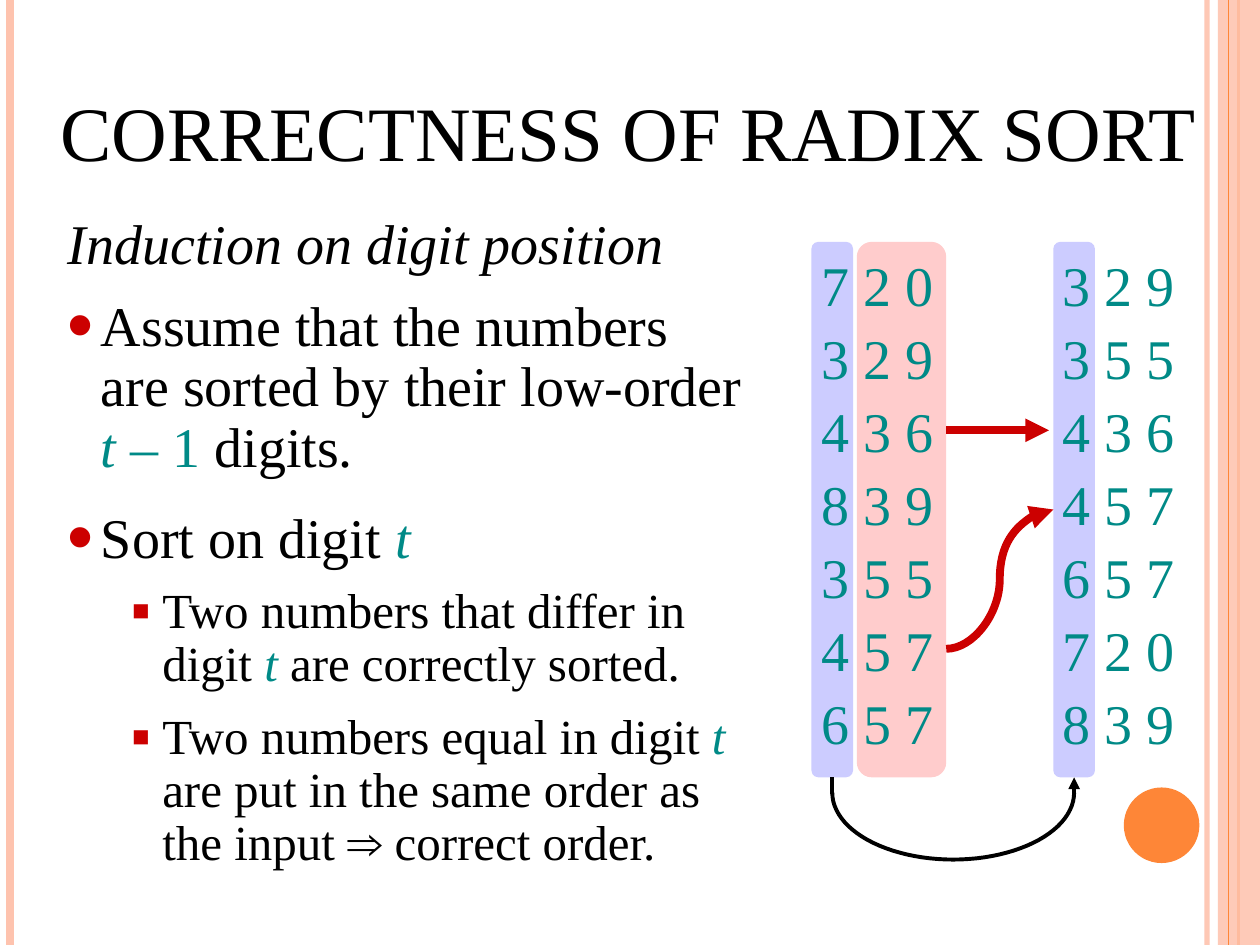
import math

import pptx
import pptx.dml.color
import pptx.enum.shapes
import pptx.enum.text
import pptx.oxml
import pptx.oxml.ns
import pptx.util
from lxml import etree

Pt = pptx.util.Pt
SHAPES = pptx.enum.shapes.MSO_SHAPE
CONNECTORS = pptx.enum.shapes.MSO_CONNECTOR
ANCHORS = pptx.enum.text.MSO_ANCHOR
ALIGNMENTS = pptx.enum.text.PP_ALIGN
FIT = pptx.enum.text.MSO_AUTO_SIZE


class Theme:
    serif, sans = "Times New Roman", "Arial"
    black, teal, red = "000000", "008A87", "CC0000"
    orange, peach = "FE8637", "FEC3AE"
    lavender, pink = "CCCCFF", "FFCCCC"
    title_size, body_size, detail_size = 44, 32, 28
    # Run styles: colour, italic, font
    runs = {
        "plain": (black, False, serif),
        "emphasis": (black, True, serif),
        "variable": (teal, True, serif),
        "number": (teal, False, serif),
        "symbol": (black, False, sans),
    }
    # Paragraph styles: type size, level, format values, bullet, hanging indent
    paragraphs = {
        "title": (title_size, 0, {}, None, None),
        "digits": (body_size, 0, {"alignment": ALIGNMENTS.CENTER}, None, None),
        "lead": (body_size, 0, {"line_spacing": 0.9, "space_before": Pt(11.9)},
                 None, (18.9, 18.9)),
        "point": (body_size, 0, {"line_spacing": 0.9, "space_before": Pt(11.9)},
                  ("•", 133), (18.9, 18.9)),
        "detail": (detail_size, 1, {"line_spacing": 0.9, "space_before": Pt(5.2)},
                   ("▪", 116), (54, 18)),
    }


def color(value):
    return pptx.dml.color.RGBColor.from_string(value)


def set_values(target, values):
    for name, value in values.items():
        setattr(target, name, value)


def add_element(parent, tag, **attributes):
    element = etree.SubElement(parent, pptx.oxml.ns.qn(tag))
    for name, value in attributes.items():
        element.set(name, str(value))
    return element


class SlideBuilder:
    def __init__(self, slide, theme):
        self.slide, self.theme = slide, theme

    def set_opacity(self, properties, percent):
        if percent < 100:
            solid_color = properties.find(".//" + pptx.oxml.ns.qn("a:srgbClr"))
            add_element(solid_color, "a:alpha", val=percent * 1000)

    def block(self, kind, left, top, width, height, fill, opacity=100, corner=None):
        shape = self.slide.shapes.add_shape(
            kind, Pt(left), Pt(top), Pt(width), Pt(height))
        shape.shadow.inherit = False
        shape.fill.solid()
        shape.fill.fore_color.rgb = color(fill)
        shape.line.fill.background()
        if corner is not None:
            shape.adjustments[0] = corner
        self.set_opacity(shape.element.spPr, opacity)
        return shape

    def line(self, start, end, stroke, width, kind=CONNECTORS.STRAIGHT,
             arrow=False, opacity=100, begin=None, finish=None):
        connector = self.slide.shapes.add_connector(
            kind, *(Pt(value) for value in (*start, *end)))
        connector.line.color.rgb = color(stroke)
        connector.line.width = Pt(width)
        properties = connector.element.spPr
        self.set_opacity(properties, opacity)
        if arrow:
            add_element(properties.find(pptx.oxml.ns.qn("a:ln")),
                        "a:tailEnd", type="triangle")
        add_element(properties, "a:effectLst")
        if begin:
            connector.begin_connect(*begin)
        if finish:
            connector.end_connect(*finish)

    def half_ellipse(self, left, right, top, depth, stroke, width, steps=48):
        center, radius = (left + right) / 2, (right - left) / 2
        points = [(Pt(center - radius * math.cos(math.pi * step / steps)),
                   Pt(top + depth * math.sin(math.pi * step / steps)))
                  for step in range(steps + 1)]
        builder = self.slide.shapes.build_freeform(*points[0])
        builder.add_line_segments(points[1:], close=False)
        shape = builder.convert_to_shape()
        shape.shadow.inherit = False
        shape.fill.background()
        shape.line.color.rgb = color(stroke)
        shape.line.width = Pt(width)

    def text(self, left, top, width, height, paragraphs, **frame_values):
        box = self.slide.shapes.add_textbox(Pt(left), Pt(top), Pt(width), Pt(height))
        frame = box.text_frame
        set_values(frame, {"word_wrap": True, "auto_size": FIT.SHAPE_TO_FIT_TEXT,
                           **frame_values})
        for index, (style, runs) in enumerate(paragraphs):
            paragraph = frame.add_paragraph() if index else frame.paragraphs[0]
            self.fill_paragraph(paragraph, style, runs)

    def fill_paragraph(self, paragraph, style, runs):
        size, level, values, bullet, indent = self.theme.paragraphs[style]
        set_values(paragraph, {"level": level, **values})
        properties = paragraph._p.get_or_add_pPr()
        if indent:
            margin, hanging = indent
            properties.set("marL", str(Pt(margin)))
            properties.set("indent", str(-Pt(hanging)))
        if bullet:
            character, percent = bullet
            bullet_color = add_element(properties, "a:buClr")
            add_element(bullet_color, "a:srgbClr", val=self.theme.red)
            add_element(properties, "a:buSzPct", val=percent * 1000)
            add_element(properties, "a:buFont", typeface=self.theme.sans)
            add_element(properties, "a:buChar", char=character)
        for words, run_style in runs:
            run_color, italic, font_name = self.theme.runs[run_style]
            run = paragraph.add_run()
            run.text = words
            set_values(run.font, {"size": Pt(size), "name": font_name, "italic": italic})
            run.font.color.rgb = color(run_color)


def main():
    presentation = pptx.Presentation()
    set_values(presentation, {"slide_width": Pt(720), "slide_height": Pt(540)})
    theme = Theme()
    page = SlideBuilder(presentation.slides.add_slide(presentation.slide_layouts[6]), theme)

    # Page frame
    for x, stroke, width, opacity in ((689.8, theme.peach, 3, 91),
                                      (5.8, theme.peach, 4.5, 100),
                                      (707.8, theme.orange, 1.5, 100)):
        page.line((x, 0), (x, 540), stroke, width, opacity=opacity)
    page.block(SHAPES.RECTANGLE, 696, 0, 24, 540, theme.peach, opacity=87)
    page.line((702, 0), (702, 540), theme.orange, 0.75)
    page.block(SHAPES.OVAL, 642.2, 450, 43.2, 43.2, theme.orange)

    # Title
    page.text(27.4, 14.4, 665.3, 90, [("title", [("CORRECTNESS OF RADIX SORT", "plain")])],
              vertical_anchor=ANCHORS.BOTTOM, auto_size=FIT.NONE)

    # Induction argument
    arguments = (
        (120.2, 161.3, [
            ("lead", [("Induction on digit position", "emphasis")]),
            ("point", [("Assume that the numbers are sorted by their low-order ", "plain"),
                       ("t ", "variable"), ("– 1", "number"), (" digits.", "plain")])]),
        (288, 46, [("point", [("Sort on digit ", "plain"), ("t", "variable")])]),
        (331.4, 69, [
            ("detail", [("Two numbers that differ in digit ", "plain"), ("t", "variable"),
                        (" are correctly sorted.", "plain")])]),
        (403.4, 99, [
            ("detail", [("Two numbers equal in digit", "plain"), (" t", "variable"),
                        (" are put in the same order as the input ", "plain"),
                        ("⇒", "symbol"), (" correct order.", "plain")])]),
    )
    for top, height, paragraphs in arguments:
        page.text(31.7, top, 401, height, paragraphs)

    # Digit column highlights
    column_top, column_height, digit_width = 138.2, 306, 23.8
    column_bottom = column_top + column_height
    before_left, after_left = 463.7, 601.9
    before, after, low_order = (
        page.block(SHAPES.ROUNDED_RECTANGLE, left, column_top, width, column_height,
                   fill, corner=0.167)
        for left, width, fill in ((before_left, digit_width, theme.lavender),
                                  (after_left, digit_width, theme.lavender),
                                  (489.6, 51.1, theme.pink)))

    # Numbers before and after the pass
    numbers_before = ("7 2 0", "3 2 9", "4 3 6", "8 3 9", "3 5 5", "4 5 7", "6 5 7")
    for left, numbers in ((462.2, numbers_before), (599.9, sorted(numbers_before, key=lambda n: n[0]))):
        for row, number in enumerate(numbers):
            page.text(left, 139.7 + 41.7 * row, 78.5, 46,
                      [("digits", [(number, "number")])], word_wrap=False)

    # Arc from the old digit column to the new one
    arc_left, arc_right = (left + digit_width / 2 for left in (before_left, after_left))
    arc_top = 454
    page.line((arc_right, arc_top), (arc_right, column_bottom), theme.black, 2.25,
              arrow=True, finish=(after, 2))
    page.half_ellipse(arc_left, arc_right, 453, 38.2, theme.black, 2.25)
    page.line((arc_left, arc_top), (arc_left, column_bottom), theme.black, 2.25,
              finish=(before, 2))

    # Equal digits keep their order
    page.line((540.7, 370.8), (after_left, 291.2), theme.red, 4.5,
              kind=CONNECTORS.CURVE, arrow=True, finish=(after, 1))
    page.line((540.7, 245.9), (599.4, 245.9), theme.red, 4.5,
              kind=CONNECTORS.CURVE, arrow=True)

    presentation.save("out.pptx")


if __name__ == "__main__":
    main()
